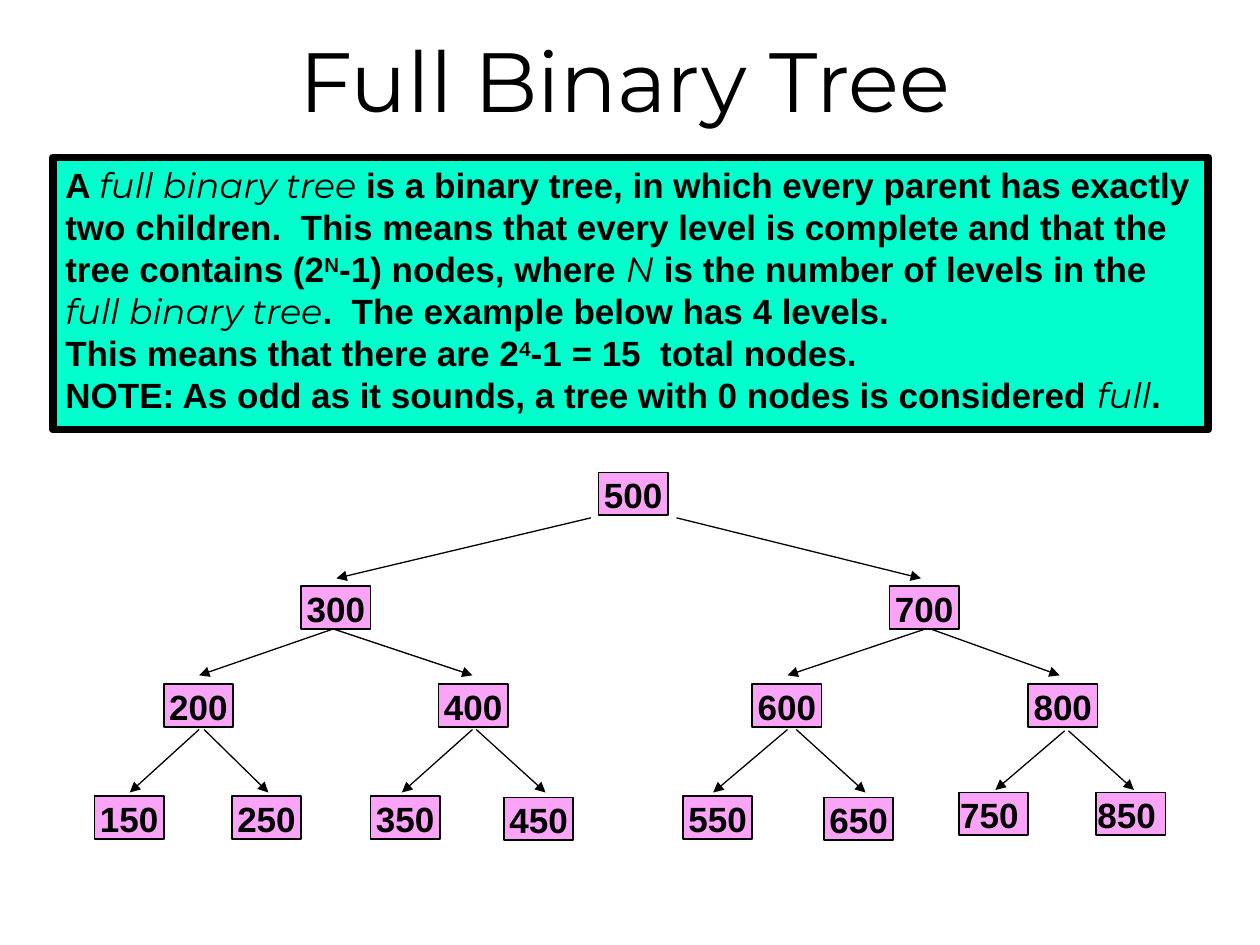
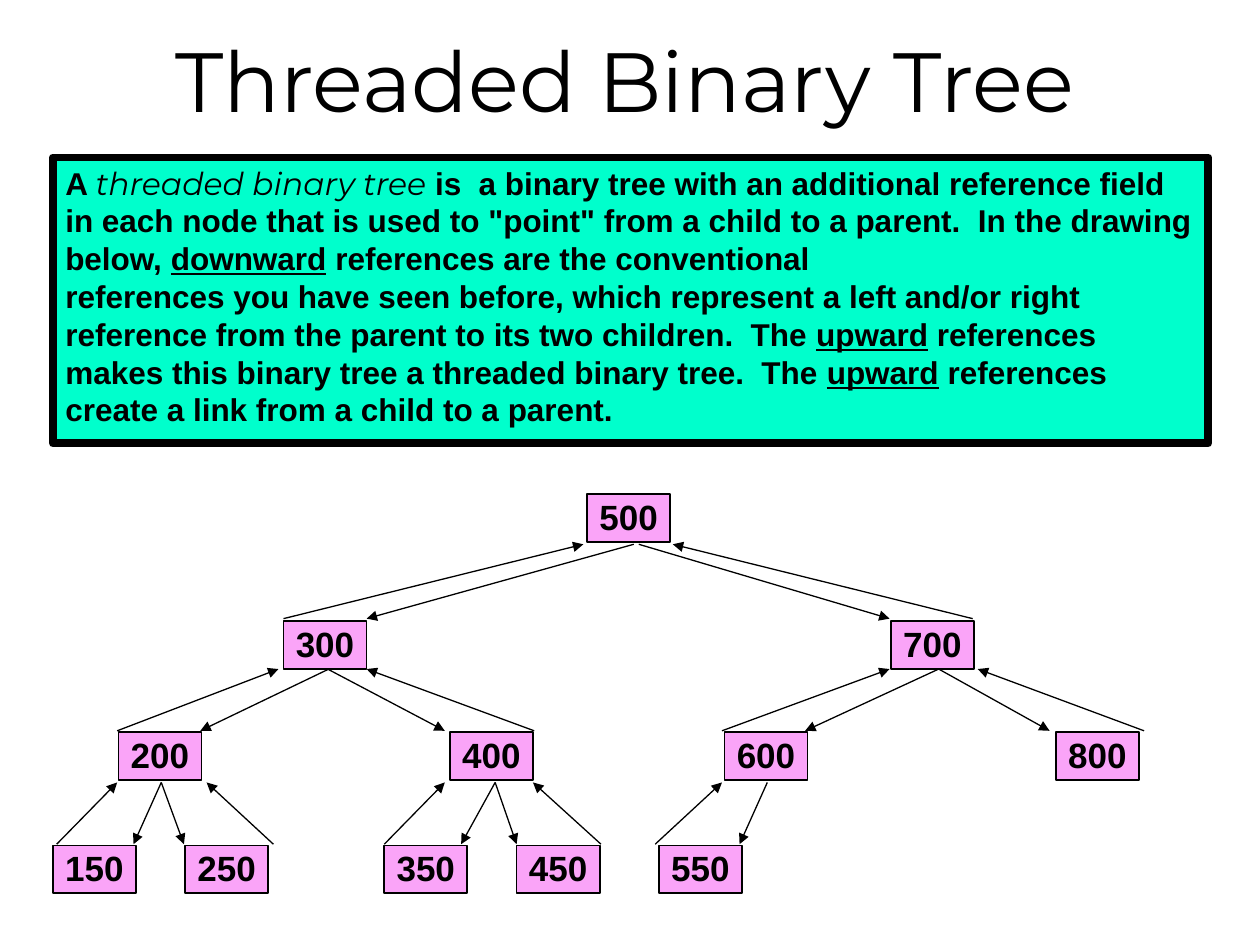
import pptx
import pptx.dml.color
import pptx.enum.shapes
import pptx.enum.text
import pptx.oxml.ns
import pptx.util
import lxml.etree
from dataclasses import dataclass

PX = pptx.util.Inches(1) // 100
ALIGN = pptx.enum.text.PP_ALIGN
ANCHOR = pptx.enum.text.MSO_ANCHOR


def color(value):
    return pptx.dml.color.RGBColor.from_string(value)


@dataclass(frozen=True)
class Theme:
    ink = color("000000")
    definition_fill = color("00FFCC")
    node_fill = color("FAA4F8")
    body_font = "Arial"
    accent_font = "Montserrat"
    title_size = 48
    node_size = 20
    definition_line = 4.5
    node_line = 1
    arrow_line = 0.75


THEME = Theme()
SLIDE_SIZE = (1000, 750)
TITLE_BOX = (0, 0, 992, 125)
DEFINITION_LEFT, DEFINITION_TOP, DEFINITION_WIDTH = 42, 125, 917

FULL_TREE = {
    "title": "Full Binary Tree",
    "definition_height": 216,
    "definition_size": 20,
    "definition": [
        [("A ", ""), ("full binary tree", "term"),
         (" is a binary tree, in which every parent has exactly two children.  "
          "This means that every level is complete and that the tree contains (2", ""),
         ("N", "power"), ("-1) nodes, where ", ""), ("N", "term"),
         (" is the number of levels in the ", ""), ("full binary tree", "term"),
         (".  The example below has 4 levels.", "")],
        [("This means that there are 2", ""), ("4", "power"), ("-1 = 15  total nodes.", "")],
        [("NOTE: As odd as it sounds, a tree with 0 nodes is considered ", ""),
         ("full", "term"), (".", "")],
    ],
    "node_size": (55, 34),
    "node_rows": [
        (375, ALIGN.CENTER, {500: 475}),
        (465, ALIGN.CENTER, {300: 239, 700: 706}),
        (543, ALIGN.CENTER, {200: 130, 400: 348, 600: 597, 800: 816}),
        (632, ALIGN.CENTER, {150: 75, 250: 184, 350: 294, 550: 542}),
        (633, ALIGN.CENTER, {450: 400, 650: 654}),
        (629, ALIGN.LEFT, {750: 761, 850: 870}),
    ],
    "arrow_rows": [
        {"upper": 411, "lower": 459, "down": [(469, 267), (537, 731)], "up": []},
        {"upper": 499, "lower": 536,
         "down": [(265, 158), (264, 375), (735, 625), (738, 841)], "up": []},
        {"upper": 579, "lower": 629,
         "down": [(158, 103), (162, 213), (375, 319), (378, 433),
                  (625, 566), (632, 687)], "up": []},
        {"upper": 580, "lower": 627, "down": [(845, 790), (848, 900)], "up": []},
    ],
}

THREADED_TREE = {
    "title": "Threaded Binary Tree",
    "definition_height": 227,
    "definition_size": 18,
    "definition": [
        [("A ", ""), ("threaded binary tree", "term"),
         (" is  a binary tree with an additional reference field in each node that is "
          'used to "point" from a child to a parent.  In the drawing below, ', ""),
         ("downward", "direction"), (" references are the conventional", "")],
        [("references you have seen before, which represent a left and/or right "
          "reference from the parent to its two children.  The ", ""),
         ("upward", "direction"),
         (" references makes this binary tree a threaded binary tree.  The ", ""),
         ("upward", "direction"),
         (" references create a link from a child to a parent.", "")],
    ],
    "node_size": (66, 38),
    "node_rows": [
        (392, ALIGN.CENTER, {500: 466}),
        (493, ALIGN.CENTER, {300: 225, 700: 707}),
        (581, ALIGN.CENTER, {200: 94, 400: 357, 600: 575, 800: 838}),
        (671, ALIGN.CENTER, {150: 42, 250: 147, 350: 305, 450: 410, 550: 523}),
    ],
    "arrow_rows": [
        {"upper": 432, "lower": 491,
         "down": [(503, 291), (507, 706)], "up": [(225, 463), (772, 534)]},
        {"upper": 531, "lower": 580,
         "down": [(261, 159), (260, 353), (745, 639), (745, 833)],
         "up": [(93, 221), (424, 291), (573, 706), (908, 776)]},
        {"upper": 621, "lower": 670,
         "down": [(128, 106), (128, 146), (393, 366), (393, 410), (609, 587)],
         "up": [(45, 93), (217, 164), (305, 353), (477, 423), (520, 573)]},
    ],
}


def scaled(*lengths):
    return [length * PX for length in lengths]


def style_font(font, name, size, bold):
    font.name = name
    font.size = pptx.util.Pt(size)
    font.bold = bold
    font.color.rgb = THEME.ink


def set_title(slide, text):
    title = slide.shapes.title
    title.left, title.top, title.width, title.height = scaled(*TITLE_BOX)
    title.text_frame.text = text
    title.text_frame.vertical_anchor = ANCHOR.MIDDLE
    paragraph = title.text_frame.paragraphs[0]
    paragraph.alignment = ALIGN.CENTER
    style_font(paragraph.font, THEME.accent_font, THEME.title_size, False)


def add_box(slide, bounds, fill, line_width, inset_x, inset_y):
    shape = slide.shapes.add_shape(
        pptx.enum.shapes.MSO_SHAPE.RECTANGLE, *scaled(*bounds))
    shape.shadow.inherit = False
    shape.fill.solid()
    shape.fill.fore_color.rgb = fill
    shape.line.color.rgb = THEME.ink
    shape.line.width = pptx.util.Pt(line_width)
    frame = shape.text_frame
    frame.word_wrap = True
    frame.vertical_anchor = ANCHOR.TOP
    frame.margin_left = frame.margin_right = inset_x * PX
    frame.margin_top = frame.margin_bottom = inset_y * PX
    return frame


def add_definition(slide, tree):
    bounds = (DEFINITION_LEFT, DEFINITION_TOP, DEFINITION_WIDTH, tree["definition_height"])
    frame = add_box(slide, bounds, THEME.definition_fill, THEME.definition_line, 10, 5)
    for index, runs in enumerate(tree["definition"]):
        paragraph = frame.add_paragraph() if index else frame.paragraphs[0]
        paragraph.alignment = ALIGN.LEFT
        style_font(paragraph.font, THEME.body_font, tree["definition_size"], True)
        for text, style in runs:
            run = paragraph.add_run()
            run.text = text
            if style == "term":
                run.font.name = THEME.accent_font
                run.font.bold = False
                run.font.italic = True
            elif style == "direction":
                run.font.underline = True
            elif style == "power":
                run._r.get_or_add_rPr().set("baseline", "30000")


def add_node(slide, value, bounds, alignment):
    frame = add_box(slide, bounds, THEME.node_fill, THEME.node_line, 1, 1)
    frame.text = str(value)
    paragraph = frame.paragraphs[0]
    paragraph.alignment = alignment
    style_font(paragraph.font, THEME.body_font, THEME.node_size, True)


def add_arrow(slide, start, end):
    arrow = slide.shapes.add_connector(
        pptx.enum.shapes.MSO_CONNECTOR.STRAIGHT, *scaled(*start, *end))
    arrow.line.color.rgb = THEME.ink
    arrow.line.width = pptx.util.Pt(THEME.arrow_line)
    properties = arrow._element.spPr
    head = lxml.etree.SubElement(properties.ln, pptx.oxml.ns.qn("a:tailEnd"))
    head.set("type", "triangle")
    lxml.etree.SubElement(properties, pptx.oxml.ns.qn("a:effectLst"))


def add_tree_slide(presentation, tree):
    slide = presentation.slides.add_slide(presentation.slide_layouts.get_by_name("Title Only"))
    set_title(slide, tree["title"])
    add_definition(slide, tree)
    for top, alignment, nodes in tree["node_rows"]:
        for value, left in nodes.items():
            add_node(slide, value, (left, top, *tree["node_size"]), alignment)
    for row in tree["arrow_rows"]:
        for parent_x, child_x in row["down"]:
            add_arrow(slide, (parent_x, row["upper"]), (child_x, row["lower"]))
        for child_x, parent_x in row["up"]:
            add_arrow(slide, (child_x, row["lower"]), (parent_x, row["upper"]))


def main():
    presentation = pptx.Presentation()
    presentation.slide_width, presentation.slide_height = scaled(*SLIDE_SIZE)
    for tree in (FULL_TREE, THREADED_TREE):
        add_tree_slide(presentation, tree)
    presentation.save("out.pptx")


if __name__ == "__main__":
    main()
